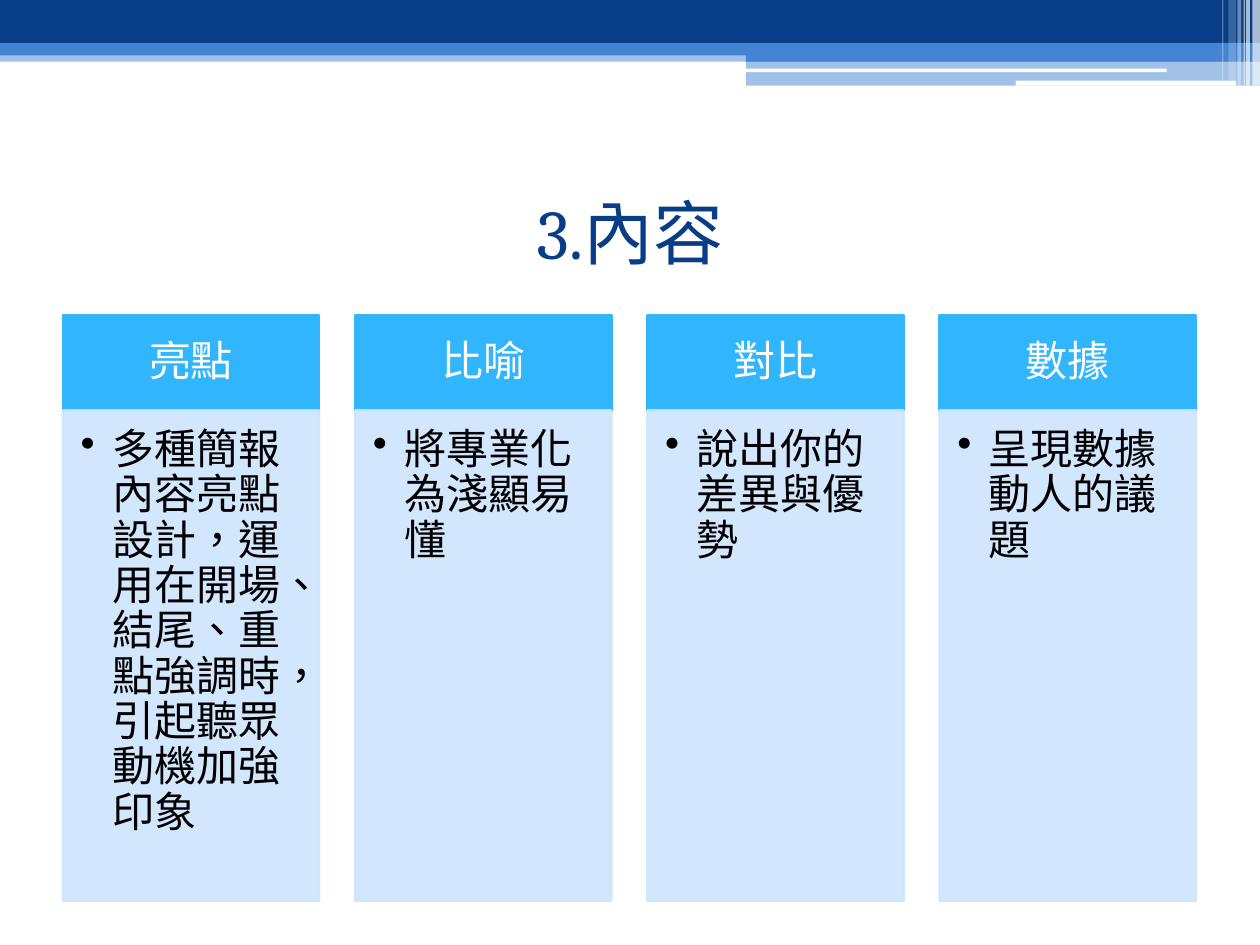
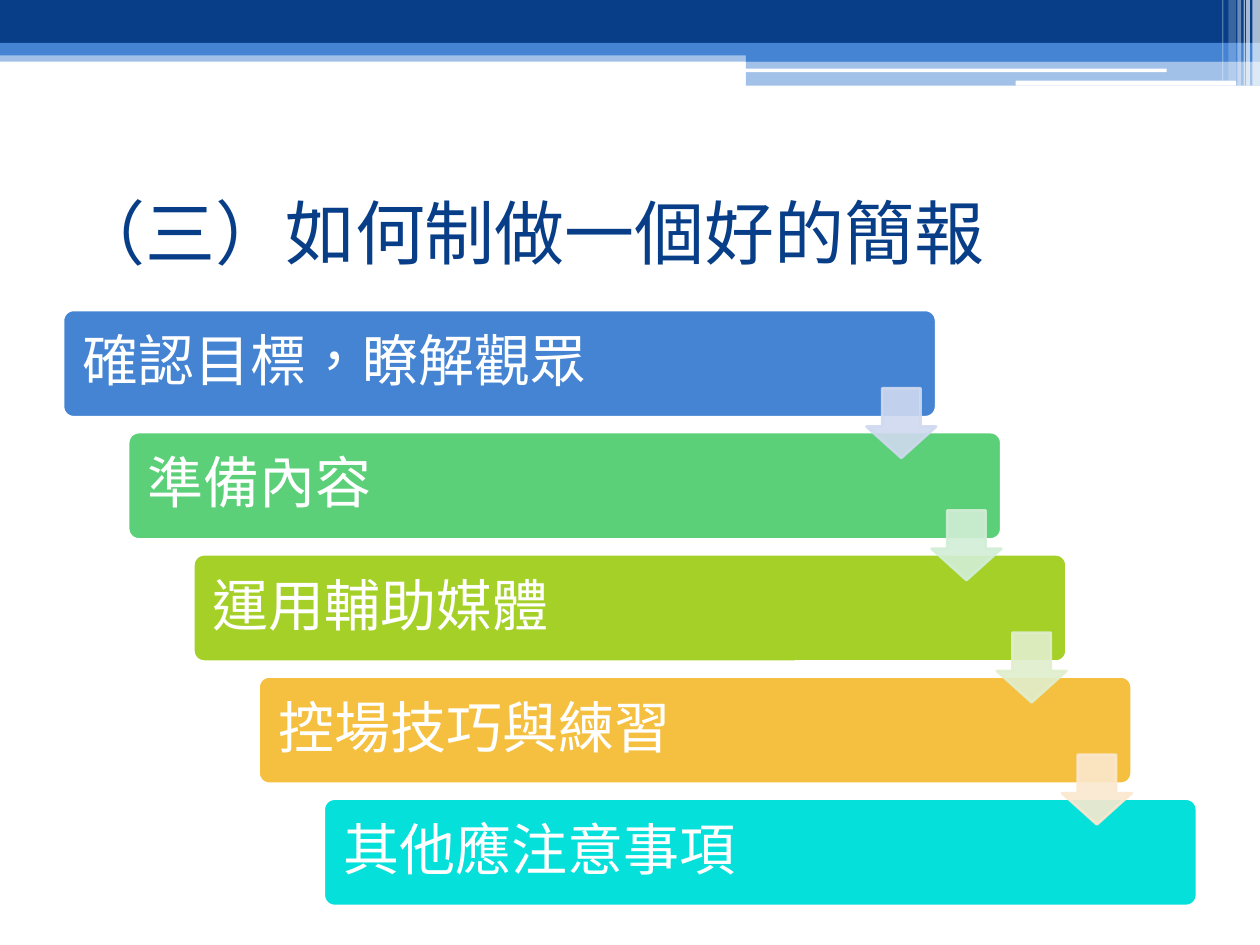
from collections import namedtuple

from lxml import etree
from pptx import Presentation
from pptx import util as u
from pptx.dml.color import RGBColor
from pptx.enum import shapes, text
from pptx.oxml.ns import qn

# Shared style
NAVY = RGBColor(0x07, 0x3E, 0x87)
BLUE = RGBColor(0x45, 0x84, 0xD3)
SKY = RGBColor(0x31, 0xB6, 0xFD)
PALE = RGBColor(0xCE, 0xE5, 0xFE)
WHITE = RGBColor(0xFF, 0xFF, 0xFF)
BLACK = RGBColor(0x00, 0x00, 0x00)
GREEN = RGBColor(0x5B, 0xD0, 0x78)
LIME = RGBColor(0xA5, 0xD0, 0x28)
AMBER = RGBColor(0xF5, 0xC0, 0x40)
AQUA = RGBColor(0x05, 0xE0, 0xDB)
ARROW_BLUE = RGBColor(0xCF, 0xD9, 0xEF)
ARROW_GREEN = RGBColor(0xD2, 0xEE, 0xD6)
ARROW_LIME = RGBColor(0xE1, 0xEE, 0xCD)
ARROW_AMBER = RGBColor(0xFB, 0xE8, 0xCF)
FONT = "Cambria"

# The page is a grid of 100 columns by 75 rows
CELL = u.Inches(0.1)
Box = namedtuple("Box", "left top width height")
RECT = shapes.MSO_SHAPE.RECTANGLE
ROUND = shapes.MSO_SHAPE.ROUNDED_RECTANGLE
ARROW = shapes.MSO_SHAPE.DOWN_ARROW
LEFT, CENTER = text.PP_ALIGN.LEFT, text.PP_ALIGN.CENTER
TOP, MIDDLE = text.MSO_ANCHOR.TOP, text.MSO_ANCHOR.MIDDLE

TITLE_BOX = Box(5, 12.5, 90, 11.7)
COLUMNS_BOX = Box(5, 25, 89.9, 46.5)
STEPS_BOX = Box(5, 24.6, 90, 47.3)


def emu(box):
    return [round(length * CELL) for length in box]


def add_block(page, kind, box, fill, opacity=100, line=None, adjust=()):
    """Add a filled preset shape; opacity (percent) covers fill and line."""
    block = page.shapes.add_shape(kind, *emu(box))
    block.shadow.inherit = False
    block.fill.solid()
    block.fill.fore_color.rgb = fill
    if line is None:
        block.line.fill.background()
    else:
        block.line.color.rgb = line
        block.line.width = u.Pt(1.5)
    for index, value in enumerate(adjust):
        block.adjustments[index] = value
    if opacity < 100:
        for color in block.element.spPr.iter(qn("a:srgbClr")):
            etree.SubElement(color, qn("a:alpha"), val=str(opacity * 1000))
    return block


def write(block, words, size, color, align=LEFT, anchor=MIDDLE,
          insets=(0.1, 0.05, 0.1, 0.05), spacing=None, after=0, bullet=False):
    """Write one paragraph; insets in inches, after as a share of the size."""
    frame = block.text_frame
    frame.word_wrap = True
    frame.vertical_anchor = anchor
    (frame.margin_left, frame.margin_top,
     frame.margin_right, frame.margin_bottom) = map(u.Inches, insets)
    para = frame.paragraphs[0]
    para.alignment = align
    para.line_spacing = spacing
    para.space_after = u.Pt(size * after)
    if bullet:
        indent = u.Inches(0.25)
        marks = para._p.get_or_add_pPr()
        marks.set("marL", str(indent))
        marks.set("indent", str(-indent))
        etree.SubElement(marks, qn("a:buChar"), char="•")
    span = para.add_run()
    span.text = words
    span.font.name = FONT
    span.font.size = u.Pt(size)
    span.font.color.rgb = color
    span._r.get_or_add_rPr().set("lang", "zh-TW")


def add_bands(page):
    # Horizontal bands
    for box, fill, opacity in (
            (Box(0, 4, 100, 0.9), BLUE, 50),
            (Box(0, 0, 100, 3.4), NAVY, 100),
            (Box(0, 3.4, 100, 1), BLUE, 100),
            (Box(59.2, 3.9, 40.8, 1), BLUE, 100),
            (Box(59.2, 4.85, 40.8, 1.95), BLUE, 50)):
        add_block(page, RECT, box, fill, opacity)
    # White rules cut into the lower band
    for box in (Box(59.1, 5.45, 33.5, 0.28), Box(80.6, 6.4, 17.5, 0.4)):
        add_block(page, ROUND, box, WHITE, adjust=[0.167])
    # Vertical glints at the right edge
    for left, width, height, opacity in (
            (99.4, 0.6, 6.8, 65), (98.9, 0.3, 6.8, 65), (98.7, 0.1, 6.8, 60),
            (98.2, 0.3, 6.8, 40), (97.5, 0.6, 6.4, 20), (97, 0.1, 6.4, 30)):
        add_block(page, RECT, Box(left, 0, width, height), WHITE, opacity)


def add_page(deck, title, align):
    page = deck.slides.add_slide(deck.slide_layouts[6])
    add_bands(page)
    write(page.shapes.add_textbox(*emu(TITLE_BOX)), title, 40, NAVY, align)
    return page


def add_columns(page, box, entries):
    """Equal columns, each a heading above a bulleted panel."""
    width = box.width * 0.226
    pitch = (box.width - width) / (len(entries) - 1)
    head = box.height * 0.163
    for index, (heading, detail) in enumerate(entries):
        left = box.left + index * pitch
        header = add_block(page, RECT, Box(left, box.top, width, head),
                           SKY, line=SKY)
        write(header, heading, 24, WHITE, CENTER, spacing=0.9, after=0.35,
              insets=(0.19, 0.11, 0.19, 0.11))
        panel = add_block(
            page, RECT, Box(left, box.top + head, width, box.height - head),
            PALE, 90, line=PALE)
        write(panel, detail, 24, BLACK, anchor=TOP, spacing=0.9, after=0.15,
              insets=(0.14, 0.14, 0.19, 0.21), bullet=True)


def add_steps(page, box, steps, arrow_colors):
    """A staircase of bars from corner to corner, joined by arrows."""
    width, height = box.width * 0.77, box.height * 0.18
    across = (box.width - width) / (len(steps) - 1)
    down = (box.height - height) / (len(steps) - 1)
    side = height * 0.65
    for index, (words, fill) in enumerate(steps):
        bar = add_block(
            page, ROUND,
            Box(box.left + index * across, box.top + index * down,
                width, height), fill, line=WHITE, adjust=[0.1])
        write(bar, words, 32, WHITE, spacing=0.9, after=0.35,
              insets=[0.13] * 4)
    # Arrows sit above all bars, flush with each bar's right end
    for index, color in enumerate(arrow_colors):
        add_block(
            page, ARROW,
            Box(box.left + index * across + width - side,
                box.top + index * down + height * 0.73, side, side),
            color, 90, line=color, adjust=[0.55, 0.45])


deck = Presentation()
deck.slide_width, deck.slide_height = 100 * CELL, 75 * CELL

# Content slide
add_columns(add_page(deck, "3.內容", CENTER), COLUMNS_BOX, [
    ("亮點", "多種簡報內容亮點設計，運用在開場、結尾、重點強調時，"
             "引起聽眾動機加強印象"),
    ("比喻", "將專業化為淺顯易懂"),
    ("對比", "說出你的差異與優勢"),
    ("數據", "呈現數據動人的議題"),
])

# Process slide
add_steps(add_page(deck, "（三）如何制做一個好的簡報", LEFT), STEPS_BOX, [
    ("確認目標，瞭解觀眾", BLUE),
    ("準備內容", GREEN),
    ("運用輔助媒體", LIME),
    ("控場技巧與練習", AMBER),
    ("其他應注意事項", AQUA),
], [ARROW_BLUE, ARROW_GREEN, ARROW_LIME, ARROW_AMBER])

deck.save("out.pptx")
